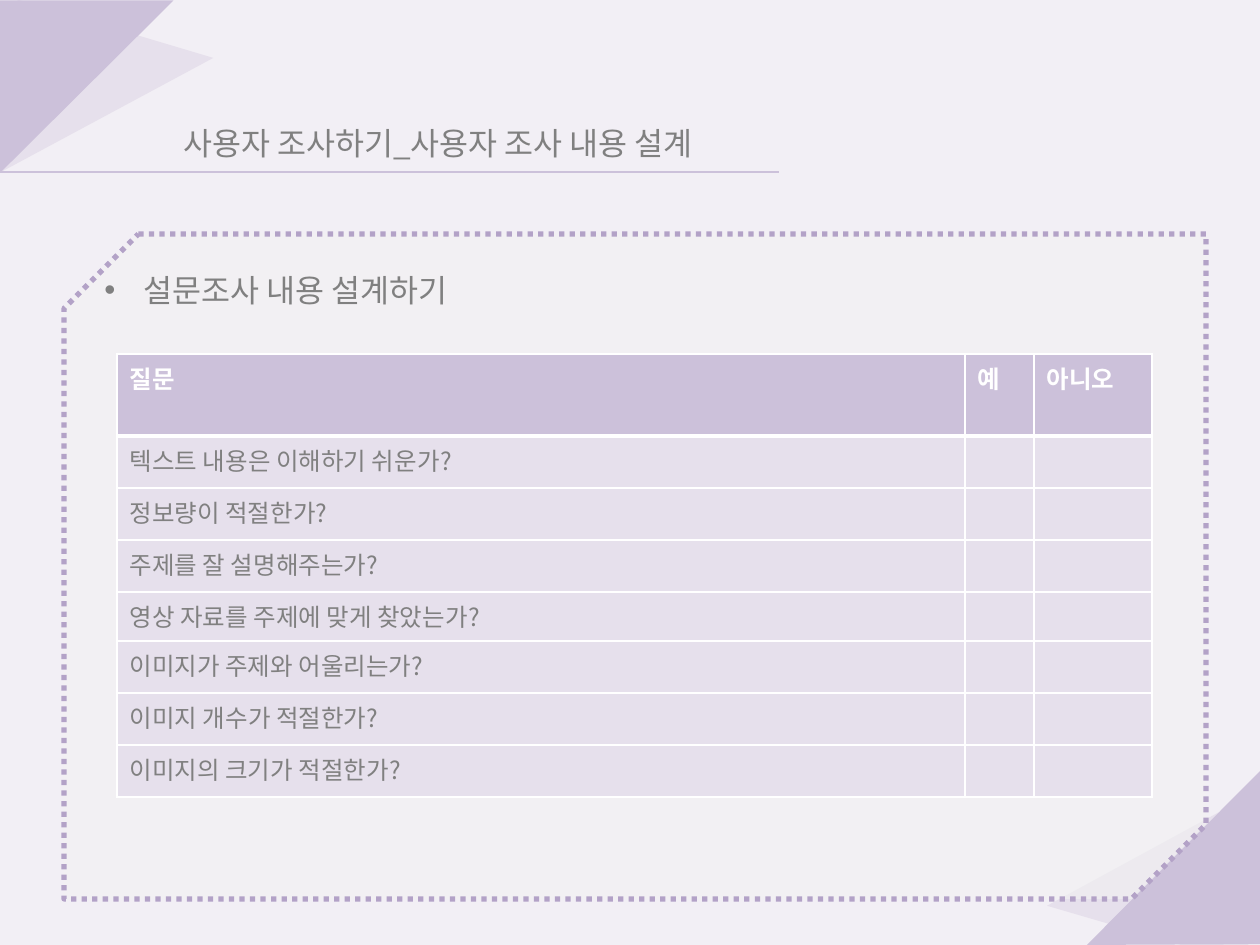
from lxml.etree import SubElement
from pptx import Presentation
from pptx.dml.color import RGBColor
from pptx.enum.dml import MSO_LINE
from pptx.enum.shapes import MSO_CONNECTOR, MSO_SHAPE
from pptx.oxml.ns import qn
from pptx.util import Emu, Pt

PX = 914400 // 126
FONT = "Noto Sans CJK KR"
COLORS = {name: RGBColor.from_string(value) for name, value in {
    "background": "F2EFF5", "pale": "E6E0EC", "lilac": "CCC1DA",
    "dots": "B3A2C7", "panel": "F2F2F2", "text": "808080", "white": "FFFFFF",
}.items()}


def px(*lengths):
    """Turn pixel lengths into a list of EMU lengths."""
    return [Emu(length * PX) for length in lengths]


def write_text(frame, text, size=18, color="text", bold=False):
    """Write one formatted paragraph into a text frame and return it."""
    frame.word_wrap = True
    paragraph = frame.paragraphs[0]
    if not text:
        SubElement(paragraph._p, qn("a:endParaRPr"), sz=str(size * 100))
        return paragraph
    run = paragraph.add_run()
    run.text = text
    run.font.size, run.font.bold, run.font.name = Pt(size), bold, FONT
    run.font.color.rgb = COLORS[color]
    SubElement(run._r.get_or_add_rPr(), qn("a:ea"), typeface=FONT)
    return paragraph


deck = Presentation()
deck.slide_width, deck.slide_height = px(1260, 945)
slide = deck.slides.add_slide(deck.slide_layouts[6])
slide.background.fill.solid()
slide.background.fill.fore_color.rgb = COLORS["background"]
shapes = slide.shapes

# Corner triangles
for box, rotation, color in [
    ((-15, 24, 203, 204), 106.6, "pale"),
    ((0, 0, 173, 174), 90, "lilac"),
    ((1072, 735, 203, 204), 286.3, "pale"),
    ((1087, 771, 173, 174), 269.7, "lilac"),
]:
    corner = shapes.add_shape(MSO_SHAPE.ISOSCELES_TRIANGLE, *px(*box))
    corner.adjustments[0] = 0
    corner.rotation = rotation
    corner.shadow.inherit = False
    corner.fill.solid()
    corner.fill.fore_color.rgb = COLORS[color]
    corner.line.fill.background()

# Title and its rule
title_rule = shapes.add_connector(MSO_CONNECTOR.STRAIGHT, *px(0, 172, 779, 172))
title_rule.line.color.rgb = COLORS["lilac"]
title_rule.line.width = Pt(1.5)
SubElement(title_rule._element.spPr, qn("a:effectLst"))
title = shapes.add_textbox(*px(171, 118, 593, 50))
write_text(title.text_frame, "사용자 조사하기_사용자 조사 내용 설계")

# Dotted content frame
content_frame = shapes.add_shape(MSO_SHAPE.SNIP_2_DIAG_RECTANGLE, *px(64, 234, 1142, 665))
content_frame.adjustments[0] = 0.112
content_frame.adjustments[1] = 0
content_frame.shadow.inherit = False
content_frame.fill.solid()
content_frame.fill.fore_color.rgb = COLORS["panel"]
panel_color = content_frame._element.spPr.find(qn("a:solidFill"))[0]
SubElement(panel_color, qn("a:alpha"), val="60000")
content_frame.line.color.rgb = COLORS["dots"]
content_frame.line.width = Pt(3)
content_frame.line.dash_style = MSO_LINE.ROUND_DOT

# Bulleted heading
heading = shapes.add_textbox(*px(92, 265, 1104, 50))
bullet = write_text(heading.text_frame, "설문조사 내용 설계하기")._p.get_or_add_pPr()
indent = 39 * PX
bullet.set("marL", str(indent))
bullet.set("indent", str(-indent))
SubElement(bullet, qn("a:buFont"), typeface="Arial")
SubElement(bullet, qn("a:buChar"), char="•")

# Survey table
header = ["질문", "예", "아니오"]
questions = [
    "텍스트 내용은 이해하기 쉬운가?",
    "정보량이 적절한가?",
    "주제를 잘 설명해주는가?",
    "영상 자료를 주제에 맞게 찾았는가?",
    "이미지가 주제와 어울리는가?",
    "이미지 개수가 적절한가?",
    "이미지의 크기가 적절한가?",
]
survey_rows = [header] + [[question, "", ""] for question in questions]
column_widths = px(848, 69, 118)
row_heights = px(82, 52, 52, 52, 49, 52, 52, 52)
survey = shapes.add_table(len(survey_rows), len(header), *px(117, 354),
                          sum(column_widths), sum(row_heights)).table
survey.horz_banding = False
for column, width in zip(survey.columns, column_widths):
    column.width = width
for row, height in zip(survey.rows, row_heights):
    row.height = height

for r, texts in enumerate(survey_rows):
    is_header = r == 0
    for c, text in enumerate(texts):
        cell = survey.cell(r, c)
        write_text(cell.text_frame, text, size=14, bold=is_header,
                   color="white" if is_header else "text")
        properties = cell._tc.get_or_add_tcPr()
        for side in "LRTB":
            below_header = (r, side) in [(0, "B"), (1, "T")]
            border = SubElement(properties, qn(f"a:ln{side}"),
                                w=str(Pt(3 if below_header else 1)))
            SubElement(SubElement(border, qn("a:solidFill")), qn("a:srgbClr"),
                       val=str(COLORS["white"]))
        cell.fill.solid()
        cell.fill.fore_color.rgb = COLORS["lilac" if is_header else "pale"]

deck.save("out.pptx")
